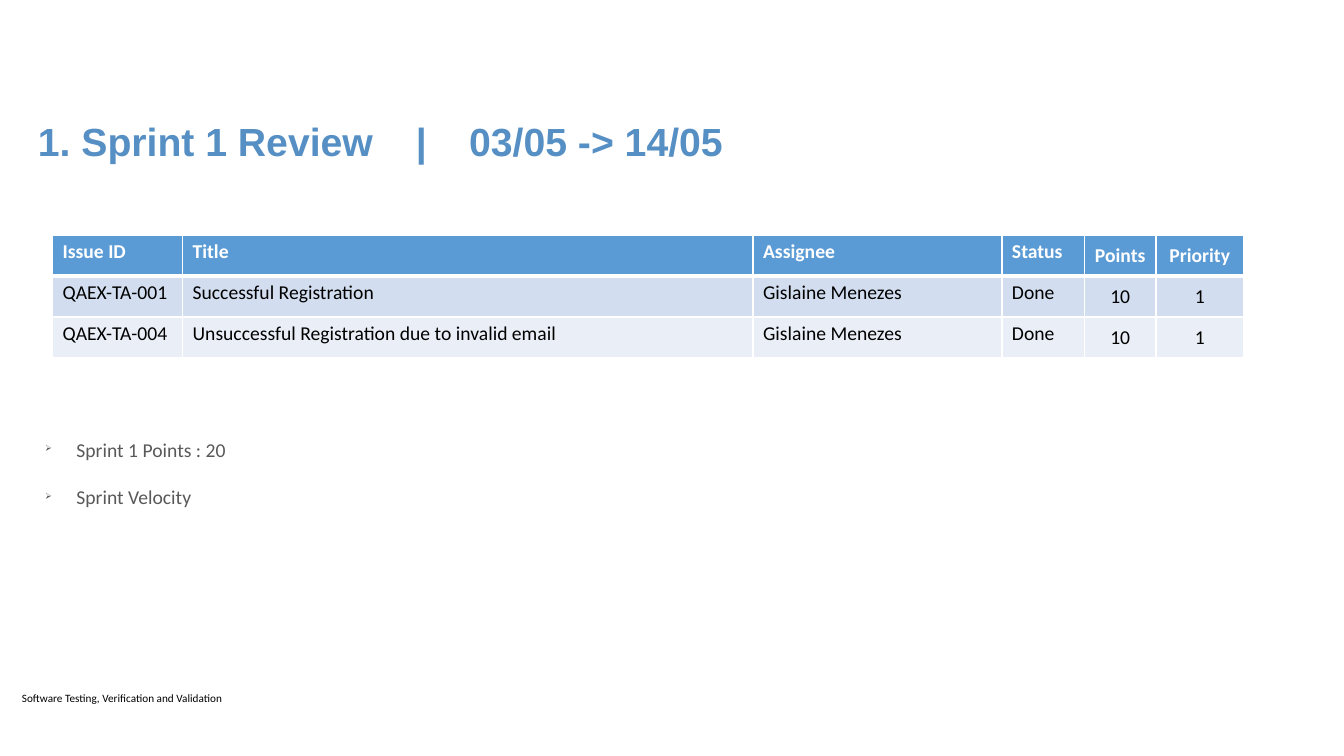
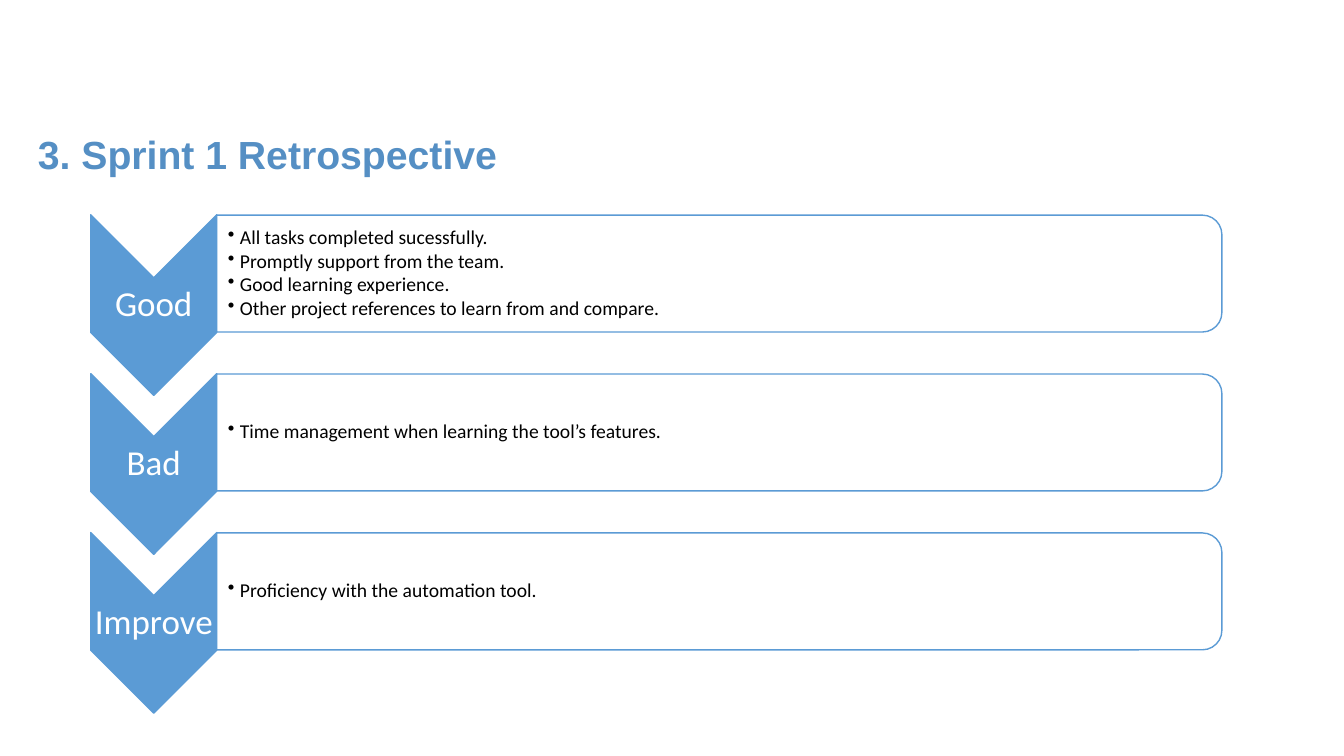
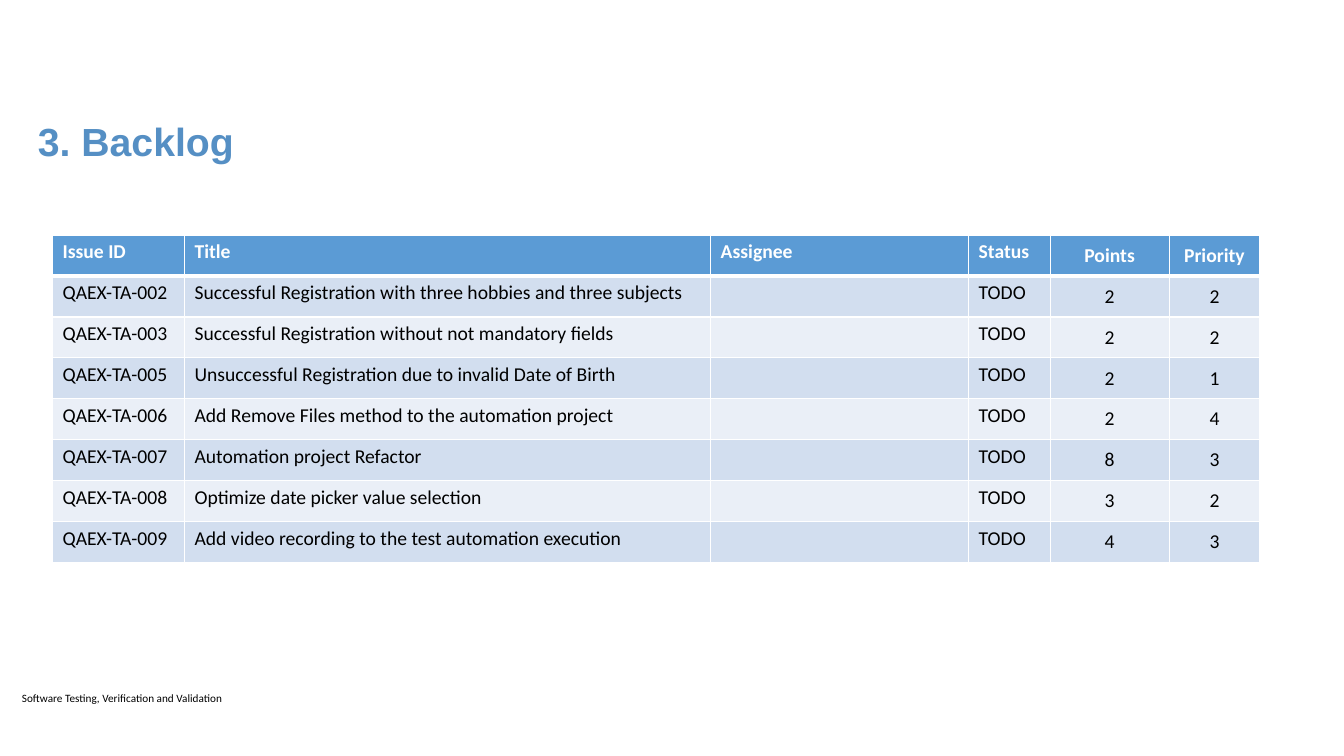
"""Build a sprint deck: review, retrospective and backlog."""
import dataclasses

import pptx
import pptx.dml.color
import pptx.enum.shapes
import pptx.enum.text
import pptx.oxml
import pptx.oxml.ns
import pptx.util

Pt = pptx.util.Pt
SHAPE = pptx.enum.shapes.MSO_SHAPE
ALIGN = pptx.enum.text.PP_ALIGN
ANCHOR = pptx.enum.text.MSO_ANCHOR


@dataclasses.dataclass(frozen=True)
class Theme:
    """Hold the colours, fonts and type sizes of the deck."""
    blue: str = "5B9BD5"
    title: str = "558FC4"
    grey: str = "595959"
    black: str = "000000"
    white: str = "FFFFFF"
    bands: tuple = ("EAEFF7", "D2DEEF")
    head: str = "Arial"
    body: str = "Calibri"
    big: int = 28
    label: int = 25
    text: int = 14
    small: int = 8


THEME = Theme()
HEADS = ("Issue ID", "Title", "Assignee", "Status", "Points", "Priority")
DONE = (
    ("QAEX-TA-001", "Successful Registration", "Gislaine Menezes", "Done", "10", "1"),
    ("QAEX-TA-004", "Unsuccessful Registration due to invalid email",
     "Gislaine Menezes", "Done", "10", "1"),
)
TODO = (
    ("002", "Successful Registration with three hobbies and three subjects", "2", "2"),
    ("003", "Successful Registration without not mandatory fields", "2", "2"),
    ("005", "Unsuccessful Registration due to invalid Date of Birth", "2", "1"),
    ("006", "Add Remove Files method to the automation project", "2", "4"),
    ("007", "Automation project Refactor", "8", "3"),
    ("008", "Optimize date picker value selection", "3", "2"),
    ("009", "Add video recording to the test automation execution", "4", "3"),
)
RETRO = (
    ("Good", ("All tasks completed sucessfully.", "Promptly support from the team.",
              "Good learning experience.",
              "Other project references to learn from and compare.")),
    ("Bad", ("Time management when learning the tool’s features.",)),
    ("Improve", ("Proficiency with the automation tool.",)),
)


def rgb(code):
    """Turn a hex code into a colour."""
    return pptx.dml.color.RGBColor.from_string(code)


def put(item, form):
    """Set each attribute named in a format dict."""
    for name, value in form.items():
        setattr(item, name, value)


def node(tag, **attrs):
    """Make a drawing element with the given attributes."""
    item = pptx.oxml.parse_xml(f"<a:{tag} {pptx.oxml.ns.nsdecls('a')}/>")
    for name, value in attrs.items():
        item.set(name, str(value))
    return item


def write(para, text, size, tint, face=THEME.body, bold=False):
    """Add one styled run to a paragraph."""
    run = para.add_run()
    run.text = text
    put(run.font, {"size": Pt(size), "name": face, "bold": bold})
    run.font.color.rgb = rgb(tint)


def frame(slide, box, pads=(7.2, 3.6, 7.2, 3.6), anchor=ANCHOR.TOP):
    """Add a wrapping text box and return its text frame."""
    area = slide.shapes.add_textbox(*map(Pt, box)).text_frame
    left, top, right, base = map(Pt, pads)
    put(area, {"word_wrap": True, "vertical_anchor": anchor, "margin_left": left,
               "margin_top": top, "margin_right": right, "margin_bottom": base})
    return area


def list_out(area, lines, tint, mark, left, hang, form, scale=100):
    """Fill a text frame with bulleted lines."""
    for rank, line in enumerate(lines):
        para = area.add_paragraph() if rank else area.paragraphs[0]
        put(para, form)
        write(para, line, THEME.text, tint)
        props = para._p.get_or_add_pPr()
        props.set("marL", str(Pt(left)))
        props.set("indent", str(Pt(-hang)))
        props.append(node("buSzPct", val=scale * 1000))
        props.append(node("buChar", char=mark))


def page(deck, title, top=80, tabs=(), foot=True):
    """Add a slide with its title and footer."""
    slide = deck.slides.add_slide(deck.slide_layouts[6])
    para = frame(slide, (20, top, 517, 41)).paragraphs[0]
    write(para, title, THEME.big, THEME.title, THEME.head, True)
    if tabs:
        stops = node("tabLst")
        for stop in tabs:
            stops.append(node("tab", pos=Pt(stop), algn="l"))
        para._p.get_or_add_pPr().append(stops)
    if foot:
        para = frame(slide, (8.6, 490.3, 385, 17)).paragraphs[0]
        write(para, "Software Testing, Verification and Validation",
              THEME.small, THEME.black)
    return slide


def edge(cell, row):
    """Draw white borders, thick below the header row."""
    props = cell._tc.get_or_add_tcPr()
    wide = {"lnT": 3 if row == 1 else 1, "lnB": 1 if row else 3}
    for side in ("lnL", "lnR", "lnT", "lnB"):
        line = node(side, w=Pt(wide.get(side, 1)))
        fill = node("solidFill")
        fill.append(node("srgbClr", val=THEME.white))
        line.append(fill)
        props.append(line)


def grid(slide, rows, widths):
    """Add an issue table with a header and banded rows."""
    rows = (HEADS, *rows)
    high = 29.2
    box = (37.5, 168, sum(widths), high * len(rows))
    table = slide.shapes.add_table(len(rows), len(widths), *map(Pt, box)).table
    for col, width in zip(table.columns, widths):
        col.width = Pt(width)
    for y, row in enumerate(rows):
        table.rows[y].height = Pt(high)
        for x, text in enumerate(row):
            cell = table.cell(y, x)
            edge(cell, y)
            cell.fill.solid()
            cell.fill.fore_color.rgb = rgb(THEME.bands[y % 2] if y else THEME.blue)
            para = cell.text_frame.paragraphs[0]
            if x > 3:
                cell.vertical_anchor = ANCHOR.MIDDLE
                para.alignment = ALIGN.CENTER
            if text:
                write(para, text, THEME.text,
                      THEME.black if y else THEME.white, bold=not y)


def turn(slide, kind, box, tint):
    """Add a shape turned by a right angle to fill the box as seen."""
    left, top, wide, high = box
    shift = (wide - high) / 2
    shape = slide.shapes.add_shape(
        kind, Pt(left + shift), Pt(top - shift), Pt(high), Pt(wide))
    put(shape, {"rotation": 90})
    put(shape.shadow, {"inherit": False})
    shape.fill.solid()
    shape.fill.fore_color.rgb = rgb(tint)
    shape.line.color.rgb = rgb(THEME.blue)
    shape.line.width = Pt(1)
    return shape


def stage(slide, top, name, lines):
    """Add a chevron with its label and a panel of points."""
    arrow = (64.8, top, 90, 129)
    turn(slide, SHAPE.CHEVRON, arrow, THEME.blue)
    para = frame(slide, arrow, (1.4,) * 4, ANCHOR.MIDDLE).paragraphs[0]
    put(para, {"alignment": ALIGN.CENTER, "line_spacing": 0.9})
    write(para, name, THEME.label, THEME.white)
    panel = turn(slide, SHAPE.ROUND_2_SAME_RECTANGLE,
                 (154.8, top + 0.3, 718, 83.5), THEME.white)
    tint = panel.fill._xPr.find(pptx.oxml.ns.qn("a:solidFill"))[0]
    tint.append(node("alpha", val=90000))
    area = frame(slide, (154.8, top + 4.2, 713.5, 75.6), (8, 0.7, 0.7, 0.7),
                 ANCHOR.MIDDLE)
    list_out(area, lines, THEME.black, "•", 8.6, 8.6,
             {"level": 1, "line_spacing": 0.9, "space_after": Pt(1.8)})


def review(deck):
    """Build the sprint review slide."""
    slide = page(deck, "1. Sprint 1 Review\t|\t03/05 -> 14/05", tabs=(270, 308))
    grid(slide, DONE, (92.9, 407.5, 177.8, 59, 51.1, 62.6))
    area = frame(slide, (4.3, 305.3, 918, 162), (7.2, 7.2, 7.2, 3.6))
    list_out(area, ("Sprint 1 Points : 20", "Sprint Velocity"), THEME.grey,
             "➢", 43.2, 22.3,
             {"space_before": Pt(3.2), "space_after": Pt(14.2)}, 45)


def retro(deck):
    """Build the retrospective slide."""
    slide = page(deck, "3. Sprint 1 Retrospective", 89.3, foot=False)
    for rank, (name, lines) in enumerate(RETRO):
        stage(slide, 153.4 + 113.5 * rank, name, lines)


def backlog(deck):
    """Build the backlog slide."""
    slide = page(deck, "3. Backlog")
    rows = [(f"QAEX-TA-{code}", title, "", "TODO", *marks)
            for code, title, *marks in TODO]
    grid(slide, rows, (94.3, 375.8, 184.3, 58.3, 85, 64.8))


def main():
    """Build and save the deck."""
    deck = pptx.Presentation()
    put(deck, {"slide_width": Pt(960), "slide_height": Pt(540)})
    for build in (review, retro, backlog):
        build(deck)
    deck.save("out.pptx")


if __name__ == "__main__":
    main()
